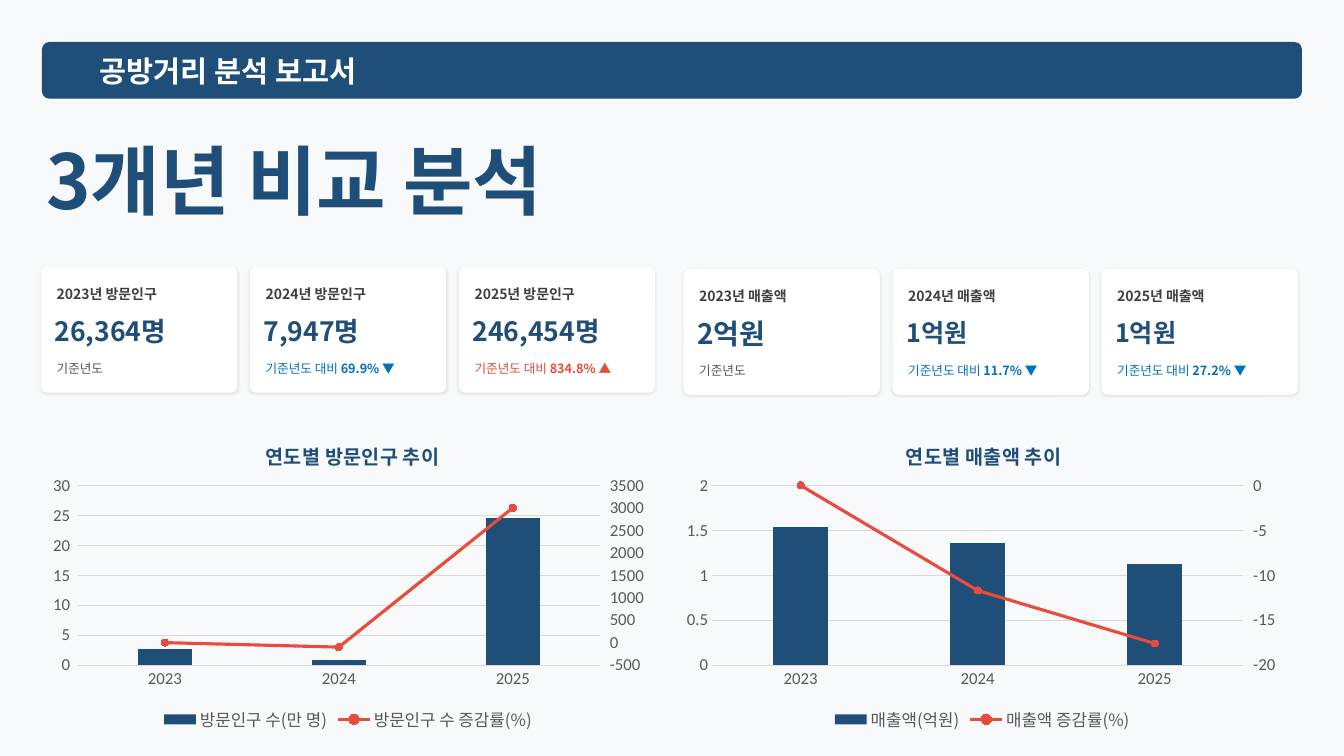
from copy import deepcopy

from lxml import etree
from pptx import Presentation
from pptx.chart.data import CategoryChartData
from pptx.dml.color import RGBColor
from pptx.enum.chart import XL_CHART_TYPE, XL_LEGEND_POSITION, XL_MARKER_STYLE, XL_TICK_MARK
from pptx.enum.shapes import MSO_SHAPE
from pptx.enum.text import MSO_ANCHOR, MSO_AUTO_SIZE, PP_ALIGN
from pptx.oxml import parse_xml
from pptx.oxml.ns import nsdecls, qn
from pptx.util import Pt

PX = 9525
KOREAN, LATIN = "Noto Sans CJK KR", "Calibri"
COLORS = {
    "page": "F8F9FA", "white": "FFFFFF", "navy": "1F4E79", "label": "404040",
    "note": "51545A", "down": "0070C0", "up": "E74C3C", "axis": "595959",
    "grid": "D9D9D9", "black": "000000",
}
ROUNDED = MSO_SHAPE.ROUNDED_RECTANGLE
COLUMNS = XL_CHART_TYPE.COLUMN_CLUSTERED
BOTTOM = XL_LEGEND_POSITION.BOTTOM
CIRCLE = XL_MARKER_STYLE.CIRCLE
NO_TICK = XL_TICK_MARK.NONE
MIDDLE, LEFT, NO_AUTOFIT = MSO_ANCHOR.MIDDLE, PP_ALIGN.LEFT, MSO_AUTO_SIZE.NONE

VISITOR_CARDS = [
    ("2023년 방문인구", 108, "26,364명", 19, "기준년도", "", "note"),
    ("2024년 방문인구", 104, "7,947명", 19, "기준년도 대비 ", "69.9% ▼", "down"),
    ("2025년 방문인구", 99, "246,454명", 19, "기준년도 대비 ", "834.8% ▲", "up"),
]
SALES_CARDS = [
    ("2023년 매출액", 91, "2억원", 20, "기준년도", "", "note"),
    ("2024년 매출액", 91, "1억원", 18, "기준년도 대비 ", "11.7% ▼", "down"),
    ("2025년 매출액", 91, "1억원", 18, "기준년도 대비 ", "27.2% ▼", "down"),
]
YEARS = ["2023", "2024", "2025"]


def emu(*lengths):
    return [length * PX for length in lengths]


def rgb(color):
    return RGBColor.from_string(COLORS[color])


def style_font(font, size, color, bold=False, name=KOREAN):
    font.size, font.bold, font.name = Pt(size), bold, name
    font.color.rgb = rgb(color)
    etree.SubElement(font._rPr, qn("a:ea")).set("typeface", name)


def fill_text(shape, text, size, color, bold=False, strong=""):
    frame = shape.text_frame
    frame.word_wrap, frame.auto_size = True, NO_AUTOFIT
    frame.vertical_anchor = MIDDLE
    frame.margin_left = frame.margin_right = frame.margin_top = frame.margin_bottom = 0
    para = frame.paragraphs[0]
    para.alignment = LEFT
    para.add_run().text = text
    style_font(para.font, size, color, bold)
    if strong:
        span = para.add_run()
        span.text, span.font.bold = strong, True


def add_text(slide, box, *content, **options):
    fill_text(slide.shapes.add_textbox(*emu(*box)), *content, **options)


def add_panel(slide, box, color, corner):
    panel = slide.shapes.add_shape(ROUNDED, *emu(*box))
    panel.adjustments[0] = corner
    panel.fill.solid()
    panel.fill.fore_color.rgb = rgb(color)
    panel.line.fill.background()
    panel.shadow.inherit = False
    return panel


def add_shadow(panel):
    effects = panel._element.spPr.find(qn("a:effectLst"))
    effects.append(parse_xml(
        f'<a:outerShdw {nsdecls("a")} blurRad="{Pt(2)}" dist="{Pt(1)}" dir="5400000" '
        f'algn="t" rotWithShape="0"><a:srgbClr val="{COLORS["black"]}">'
        '<a:alpha val="10000"/></a:srgbClr></a:outerShdw>'))


def add_header(slide, box):
    left, top, width, height = box
    add_panel(slide, box, "navy", 0.13)
    add_text(slide, (left + 55, top + 6, 435, height - 12), "공방거리 분석 보고서", 21, "white", True)


def add_title(slide, box):
    title = slide.shapes.title
    title.left, title.top, title.width, title.height = emu(*box)
    fill_text(title, "3개년 비교 분석", 54, "navy", True)


def add_card(slide, box, card):
    label, label_width, value, value_size, note, change, note_color = card
    left, top, width, height = box
    add_shadow(add_panel(slide, box, "white", 0.05))
    add_text(slide, (left + 15, top + 17, label_width, 17), label, 10, "label", True)
    add_text(slide, (left + 13, top + 47, width, 28), value, value_size, "navy", True)
    add_text(slide, (left + 15, top + 87, 170, 20), note, 9, note_color, strong=change)


def add_card_row(slide, left, top, cards):
    for index, card in enumerate(cards):
        add_card(slide, (left + index * 199, top, 187, 120), card)


def set_layout(parent, position, target="", **places):
    for layout in parent.findall(qn("c:layout")):
        parent.remove(layout)
    modes = "".join(f'<c:{axis}Mode val="edge"/>' for axis in "xy")
    values = "".join(f'<c:{key} val="{value}"/>' for key, value in places.items())
    parent.insert(position, parse_xml(
        f'<c:layout {nsdecls("c")}><c:manualLayout>{target}{modes}{values}'
        '</c:manualLayout></c:layout>'))


def style_axes(chart, number_format):
    for axis in (chart.category_axis, chart.value_axis):
        axis.major_tick_mark = axis.minor_tick_mark = NO_TICK
        style_font(axis.tick_labels.font, 12, "axis", name=LATIN)
    chart.category_axis.format.line.color.rgb = rgb("grid")
    chart.category_axis.format.line.width = Pt(0.75)
    chart.value_axis.format.line.fill.background()
    gridlines = chart.value_axis.major_gridlines.format.line
    gridlines.color.rgb, gridlines.width = rgb("grid"), Pt(0.75)
    chart.value_axis.tick_labels.number_format = number_format
    chart.value_axis.tick_labels.number_format_is_linked = False


def move_rate_to_right_axis(plot_area):
    bars = plot_area.find(qn("c:barChart"))
    rate = bars.findall(qn("c:ser"))[1]
    for flag in rate.findall(qn("c:invertIfNegative")):
        rate.remove(flag)
    line = parse_xml(
        f'<c:lineChart {nsdecls("c")}><c:grouping val="standard"/><c:varyColors val="0"/>'
        '<c:marker val="1"/><c:axId val="5001"/><c:axId val="5002"/></c:lineChart>')
    line.insert(2, rate)
    bars.addnext(line)
    hidden = deepcopy(plot_area.find(qn("c:catAx")))
    right = deepcopy(plot_area.find(qn("c:valAx")))
    for gridlines in right.findall(qn("c:majorGridlines")):
        right.remove(gridlines)
    changes = [
        (hidden, {"axId": "5001", "crossAx": "5002", "delete": "1"}),
        (right, {"axId": "5002", "crossAx": "5001", "axPos": "r", "crosses": "max",
                 "majorTickMark": "out"}),
    ]
    for axis, settings in changes:
        for tag, value in settings.items():
            for setting in axis.findall(qn(f"c:{tag}")):
                setting.set("val", value)
    for number_format in right.findall(qn("c:numFmt")):
        number_format.set("formatCode", "General")
    plot_area.findall(qn("c:valAx"))[-1].addnext(right)
    right.addnext(hidden)


def add_trend_chart(slide, box, title, title_x, plot_width, number_format, amounts, rates):
    data = CategoryChartData()
    data.categories = YEARS
    for name, values in (amounts, rates):
        data.add_series(name, values)
    chart = slide.shapes.add_chart(COLUMNS, *emu(*box), data).chart
    style_font(chart.font, 10, "black", name=LATIN)
    chart.has_title = True
    para = chart.chart_title.text_frame.paragraphs[0]
    span = para.add_run()
    span.text = title
    style_font(span.font, 14, "navy", True)
    chart.has_legend = True
    chart.legend.position, chart.legend.include_in_layout = BOTTOM, False
    style_font(chart.legend.font, 12, "axis")
    style_axes(chart, number_format)

    chart_root = chart._chartSpace.find(qn("c:chart"))
    plot_area = chart_root.find(qn("c:plotArea"))
    move_rate_to_right_axis(plot_area)
    set_layout(plot_area, 0, '<c:layoutTarget val="inner"/>', x=0.06, y=0.215, w=plot_width, h=0.563)
    set_layout(chart_root.find(qn("c:title")), 1, x=title_x, y=0.06)

    bars, line = chart.plots
    bars.gap_width, bars.vary_by_categories = 219, False
    bars.series[0].format.fill.solid()
    bars.series[0].format.fill.fore_color.rgb = rgb("navy")
    rate = line.series[0]
    rate.smooth = False
    rate.format.line.color.rgb, rate.format.line.width = rgb("up"), Pt(2.25)
    rate.marker.style, rate.marker.size = CIRCLE, 5
    rate.marker.format.fill.solid()
    rate.marker.format.fill.fore_color.rgb = rgb("up")
    rate.marker.format.line.color.rgb = rgb("up")


def main():
    deck = Presentation()
    deck.slide_width, deck.slide_height = emu(1280, 720)
    page = deck.slides.add_slide(deck.slide_layouts[5])
    page.background.fill.solid()
    page.background.fill.fore_color.rgb = rgb("page")
    add_card_row(page, 39, 254, VISITOR_CARDS)
    add_card_row(page, 651, 256, SALES_CARDS)
    add_header(page, (40, 40, 1200, 54))
    add_title(page, (44, 118, 607, 105))
    add_trend_chart(page, (39, 397, 585, 304), "연도별 방문인구 추이", 0.36, 0.85,
                    r"#,##0_);[Red]\(#,##0\)", ("방문인구 수(만 명)", [2.6, 0.8, 24.6]),
                    ("방문인구 수 증감률(%)", [0, -100, 3000]))
    add_trend_chart(page, (643, 397, 585, 304), "연도별 매출액 추이", 0.37, 0.865,
                    "General", ("매출액(억원)", [1.54, 1.36, 1.12]),
                    ("매출액 증감률(%)", [0, -11.7, -17.6]))
    deck.save("out.pptx")


if __name__ == "__main__":
    main()
